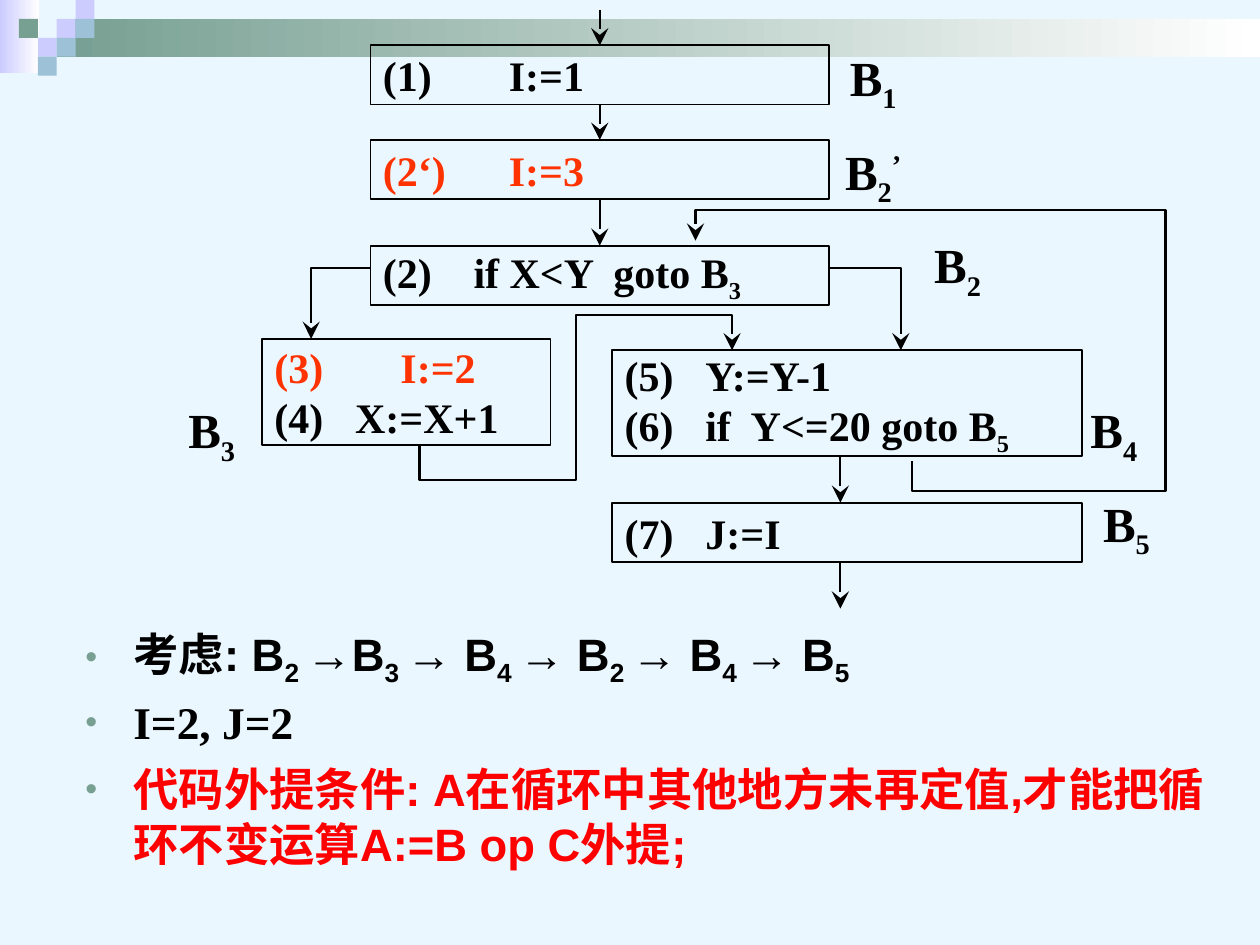
from lxml import etree
from pptx import Presentation
from pptx.dml.color import RGBColor
from pptx.enum.shapes import MSO_CONNECTOR, MSO_SHAPE
from pptx.enum.text import MSO_ANCHOR, PP_ALIGN
from pptx.oxml.ns import qn
from pptx.util import Inches, Pt

RECTANGLE = MSO_SHAPE.RECTANGLE
STRAIGHT = MSO_CONNECTOR.STRAIGHT
MIDDLE, TOP = MSO_ANCHOR.MIDDLE, MSO_ANCHOR.TOP
LEFT, CENTER = PP_ALIGN.LEFT, PP_ALIGN.CENTER
SERIF, SANS = "Times New Roman", "Arial"
BLACK, ORANGE, RED = "000000", "FF3300", "FF0000"
LILAC, BLUE, GREEN, WHITE = "CCCCFF", "9DC2D7", "779F92", "FFFFFF"

# Corner decoration: gradient bars, then small squares as (column, row, colour)
BARS = [((0, 0, 0.31, 0.58), LILAC), ((0.45, 0.15, 9.55, 0.3), GREEN)]
SQUARE = 0.15
SQUARES = [(3, 1, LILAC), (4, 0, LILAC), (4, 1, BLUE), (2, 2, LILAC),
           (1, 1, GREEN), (3, 2, BLUE), (2, 3, BLUE)]

# Text between underscores is subscript; a part that begins with ^ is superscript
# Blocks: place, then lines of (text, colour, tab stops)
BLOCKS = [
    ((2.94, 0.36, 3.64, 0.47), [("(1)\tI:=1", BLACK, [1])]),
    ((2.94, 1.11, 3.64, 0.47), [("(2‘)\tI:=3", ORANGE, [1])]),
    ((2.94, 1.95, 3.64, 0.47),
     [("(2)\tif X<Y\tgoto B_3", BLACK, [0.72, 1.83])]),
    ((2.08, 2.69, 2.29, 0.84),
     [("(3)\tI:=2", ORANGE, [1]), ("(4)\tX:=X+1", BLACK, [0.64])]),
    ((4.86, 2.78, 3.73, 0.84),
     [("(5)\tY:=Y-1", BLACK, [0.64]),
      ("(6)\tif\tY<=20 goto B_5", BLACK, [0.64, 1])]),
    ((4.86, 3.99, 3.73, 0.47), [("(7)\tJ:=I", BLACK, [0.64])]),
]
LABELS = [("B_1", 6.67, 0.36), ("B_2_^’", 6.67, 1.11), ("B_2", 7.34, 1.85),
          ("B_3", 1.42, 3.16), ("B_4", 8.58, 3.16), ("B_5", 8.68, 3.9)]

# Vertical arrows: x, top, bottom
ARROWS = [(4.76, 0.08, 0.36), (4.76, 0.83, 1.11), (4.76, 1.57, 1.95),
          (6.67, 3.62, 3.99), (6.67, 4.46, 4.83)]
# Bent arrows: corner points
ROUTES = [
    [(2.94, 2.13), (2.47, 2.13), (2.47, 2.69)],
    [(6.58, 2.13), (7.15, 2.13), (7.15, 2.78)],
    [(7.24, 3.66), (7.24, 3.9), (9.25, 3.9), (9.25, 1.67), (5.52, 1.67),
     (5.52, 1.91)],
    [(3.33, 3.53), (3.33, 3.81), (4.57, 3.81), (4.57, 2.5), (5.81, 2.5),
     (5.81, 2.78)],
]
# Notes: text, font, colour, line spacing
NOTES = [
    ("考虑: B_2 _→B_3 _→ B_4 _→ B_2 _→ B_4 _→ B_5", SANS, BLACK, 1),
    ("I=2, J=2", SERIF, BLACK, 0.9),
    ("代码外提条件: A在循环中其他地方未再定值,才能把循环不变运算A:=B op C外提;",
     SANS, RED, 1),
]


def color(value):
    return RGBColor.from_string(value)


def add_element(parent, tag, **attributes):
    return etree.SubElement(parent, qn(tag), attributes)


def add_text(paragraph, text, *, size, font=SERIF, fill=BLACK, align=LEFT,
             stops=()):
    paragraph.alignment = align
    if stops:
        tabs = add_element(paragraph._p.get_or_add_pPr(), "a:tabLst")
        for stop in stops:
            add_element(tabs, "a:tab", pos=str(Inches(stop)), algn="l")
    for index, part in enumerate(text.split("_")):
        run = paragraph.add_run()
        run.text = part.removeprefix("^")
        run.font.name = font
        run.font.size = Pt(size)
        run.font.bold = True
        run.font.color.rgb = color(fill)
        if part.startswith("^"):
            run._r.get_or_add_rPr().set("baseline", "30000")
        elif index % 2:
            run._r.get_or_add_rPr().set("baseline", "-25000")


def add_bullet(paragraph):
    properties = paragraph._p.get_or_add_pPr()
    properties.set("marL", str(Inches(0.38)))
    properties.set("indent", str(-Inches(0.38)))
    add_element(add_element(properties, "a:buClr"), "a:srgbClr", val=GREEN)
    add_element(properties, "a:buSzPct", val="75000")
    add_element(properties, "a:buFont", typeface=SANS)
    add_element(properties, "a:buChar", char="•")


def add_rectangle(slide, place):
    shape = slide.shapes.add_shape(RECTANGLE, *map(Inches, place))
    shape.shadow.inherit = False
    shape.line.fill.background()
    return shape


def prepare_frame(shape, anchor, side_margin=0.1):
    frame = shape.text_frame
    frame.word_wrap = True
    frame.vertical_anchor = anchor
    frame.margin_left = frame.margin_right = Inches(side_margin)
    return frame


def paragraphs_for(frame, items):
    for index, item in enumerate(items):
        yield (frame.add_paragraph() if index else frame.paragraphs[0]), item


def style_arrow(line):
    line.color.rgb = color(BLACK)
    line.width = Pt(1.25)
    add_element(line._get_or_add_ln(), "a:tailEnd", type="stealth", w="lg", len="lg")


def main():
    presentation = Presentation()
    presentation.slide_width, presentation.slide_height = Inches(10), Inches(7.5)
    slide = presentation.slides.add_slide(presentation.slide_layouts[6])
    slide.background.fill.solid()
    slide.background.fill.fore_color.rgb = color("EBF7FF")

    # Corner decoration
    for place, start in BARS:
        fill = add_rectangle(slide, place).fill
        fill.gradient()
        fill.gradient_angle = 0
        for stop, value in zip(fill.gradient_stops, (start, WHITE)):
            stop.color.rgb = color(value)
    for column, row, value in SQUARES:
        place = (column * SQUARE, row * SQUARE, SQUARE, SQUARE)
        fill = add_rectangle(slide, place).fill
        fill.solid()
        fill.fore_color.rgb = color(value)

    # Code blocks and their labels
    for place, lines in BLOCKS:
        block = add_rectangle(slide, place)
        block.fill.background()
        block.line.color.rgb = color(BLACK)
        block.line.width = Pt(1)
        frame = prepare_frame(block, MIDDLE)
        for paragraph, (text, fill, stops) in paragraphs_for(frame, lines):
            add_text(paragraph, text, size=24, fill=fill, stops=stops)
    for text, left, top in LABELS:
        label = slide.shapes.add_textbox(*map(Inches, (left, top, 0.52, 0.56)))
        frame = prepare_frame(label, MIDDLE, side_margin=0)
        add_text(frame.paragraphs[0], text, size=28, align=CENTER)

    # Control flow
    for x, top, bottom in ARROWS:
        arrow = slide.shapes.add_connector(STRAIGHT, *map(Inches, (x, top, x, bottom)))
        style_arrow(arrow.line)
        add_element(arrow._element.spPr, "a:effectLst")
    for route in ROUTES:
        points = [(Inches(x), Inches(y)) for x, y in route]
        builder = slide.shapes.build_freeform(*points[0])
        builder.add_line_segments(points[1:], close=False)
        bent_arrow = builder.convert_to_shape()
        bent_arrow.shadow.inherit = False
        bent_arrow.fill.background()
        style_arrow(bent_arrow.line)

    # Notes
    notes = slide.shapes.add_textbox(*map(Inches, (0.58, 4.92, 9.25, 2.17)))
    frame = prepare_frame(notes, TOP)
    for paragraph, (text, font, fill, spacing) in paragraphs_for(frame, NOTES):
        paragraph.line_spacing = spacing
        paragraph.space_before = Pt(0 if text == NOTES[0][0] else 7)
        add_bullet(paragraph)
        add_text(paragraph, text, size=25.9, font=font, fill=fill)

    presentation.save("out.pptx")


if __name__ == "__main__":
    main()
